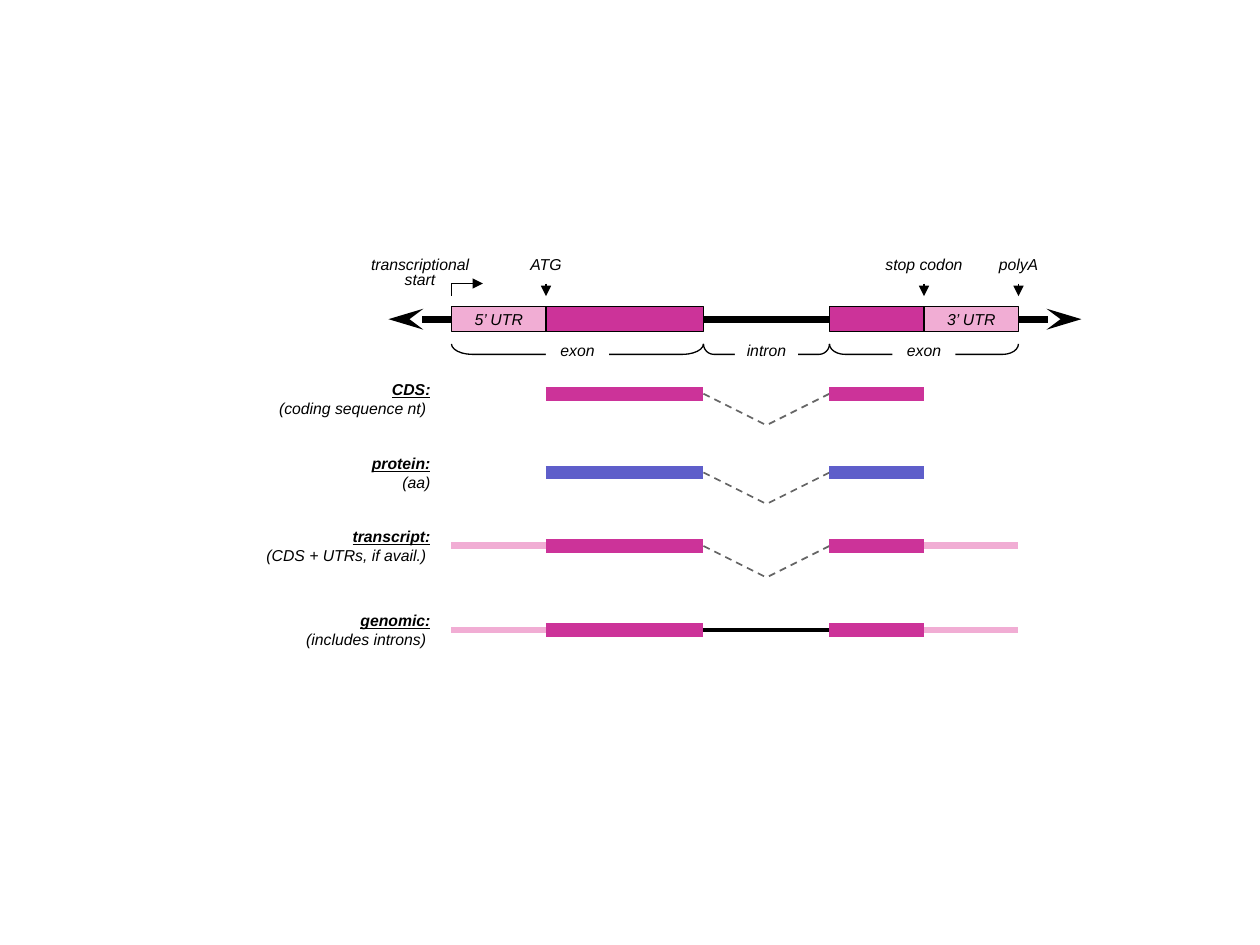
from lxml.etree import SubElement
from pptx import Presentation
from pptx.dml.color import RGBColor
from pptx.enum.dml import MSO_LINE
from pptx.enum.shapes import MSO_CONNECTOR, MSO_SHAPE
from pptx.enum.text import MSO_ANCHOR, PP_ALIGN
from pptx.oxml.ns import qn
from pptx.util import Inches, Pt

# Grid: 120 columns by 90 rows, twelve units to the inch
COLUMNS = 120
BLACK, WHITE, GREY = "000000", "FFFFFF", "666666"
PINK, MAGENTA, BLUE = "F1ADD4", "CC3399", "5E5ECA"

# Columns where the parts of the gene begin and end
START, ATG, SPLICE_OUT, SPLICE_IN, STOP, POLY_A = 43, 52, 67, 79, 88, 97
GENE_ROW, GENE_HEIGHT = 30.4, 2.4
CODING = [(ATG, SPLICE_OUT), (SPLICE_IN, STOP)]
UTRS = [(START, ATG), (STOP, POLY_A)]


def color(hex_string):
    return RGBColor.from_string(hex_string)


class GeneDiagram:
    """Holds the text style and the current page, and draws in grid units."""

    font, size = "Arial", 9

    def __init__(self, deck):
        self.unit = deck.slide_width / COLUMNS
        self.page = deck.slides.add_slide(deck.slide_layouts[6])

    def lengths(self, *units):
        return [round(value * self.unit) for value in units]

    def set_text(self, shape, lines, align=PP_ALIGN.CENTER, anchor=MSO_ANCHOR.TOP,
                 spacing=None, heading=False):
        """Fill a shape with italic lines; a heading makes the first one stand out."""
        frame = shape.text_frame
        frame.word_wrap = True
        frame.vertical_anchor = anchor
        frame.margin_left = frame.margin_right = 0
        frame.margin_top = frame.margin_bottom = 0
        frame.text = "\n".join(lines)
        for index, para in enumerate(frame.paragraphs):
            para.alignment = align
            para.line_spacing = spacing
            for span in para.runs:
                span.font.name = self.font
                span.font.size = Pt(self.size)
                span.font.italic = True
                span.font.color.rgb = color(BLACK)
                if heading and index == 0:
                    span.font.bold = span.font.underline = True

    def text(self, left, top, width, height, lines, **style):
        box = self.page.shapes.add_textbox(*self.lengths(left, top, width, height))
        self.set_text(box, lines, **style)

    def box(self, left, top, width, height, fill, outline=None, label=None,
            anchor=MSO_ANCHOR.MIDDLE):
        shape = self.page.shapes.add_shape(
            MSO_SHAPE.RECTANGLE, *self.lengths(left, top, width, height))
        shape.shadow.inherit = False
        shape.fill.solid()
        shape.fill.fore_color.rgb = color(fill)
        if outline:
            shape.line.color.rgb = color(outline)
            shape.line.width = Pt(0.75)
        else:
            shape.line.fill.background()
        if label:
            self.set_text(shape, [label], anchor=anchor)

    def line(self, x1, y1, x2, y2, ink=BLACK, weight=0.75, dashed=False,
             head=None, tail=None, tip_length="med"):
        link = self.page.shapes.add_connector(
            MSO_CONNECTOR.STRAIGHT, *self.lengths(x1, y1, x2, y2))
        link.line.color.rgb = color(ink)
        link.line.width = Pt(weight)
        if dashed:
            link.line.dash_style = MSO_LINE.DASH
        properties = link._element.spPr
        outline = properties.find(qn("a:ln"))
        for tag, kind in (("a:headEnd", head), ("a:tailEnd", tail)):
            if kind:
                SubElement(outline, qn(tag), type=kind, w="med", len=tip_length)
        SubElement(properties, qn("a:effectLst"))

    def brace(self, start, end, label):
        """Draw a brace below the gene, its point covered by the label."""
        span, thickness, middle = end - start, 2, (start + end) / 2
        shape = self.page.shapes.add_shape(MSO_SHAPE.LEFT_BRACE, *self.lengths(
            middle - thickness / 2, 33.75 - span / 2, thickness, span))
        shape.rotation = 270
        shape.adjustments[0] = span / 12 / thickness
        shape.shadow.inherit = False
        shape.fill.background()
        shape.line.color.rgb = color(BLACK)
        shape.line.width = Pt(0.75)
        self.box(middle - 3, 32.5, 6, 2.4, WHITE, label=label, anchor=MSO_ANCHOR.TOP)

    def callout(self, middle, width, lines):
        self.text(middle - width / 2, 24.6, width, 2.4, lines, spacing=0.8)

    def product(self, row, label_row, lines, ink=MAGENTA, utrs=False, spliced=True):
        """Draw one labelled row showing which parts of the gene it holds."""
        self.text(6, label_row - 1, 35, 2, lines, align=PP_ALIGN.RIGHT,
                  anchor=MSO_ANCHOR.MIDDLE, heading=True)
        if utrs:
            for start, end in UTRS:
                self.line(start, row, end, row, PINK, 4)
        if spliced:
            for edge in (SPLICE_OUT, SPLICE_IN):
                self.line(edge, row, (SPLICE_OUT + SPLICE_IN) / 2, row + 3,
                          GREY, 1, dashed=True)
        else:
            self.line(SPLICE_OUT, row, SPLICE_IN, row, BLACK, 2.25)
        for start, end in CODING:
            self.line(start, row, end, row, ink, 8)


def draw_gene(diagram):
    diagram.line(37, GENE_ROW, 103, GENE_ROW, weight=4,
                 head="stealth", tail="stealth", tip_length="lg")
    parts = [(*UTRS[0], PINK, "5’ UTR"), (*CODING[0], MAGENTA, None),
             (*CODING[1], MAGENTA, None), (*UTRS[1], PINK, "3’ UTR")]
    for start, end, fill, label in parts:
        diagram.box(start, GENE_ROW - GENE_HEIGHT / 2, end - start, GENE_HEIGHT,
                    fill, BLACK, label)
    for start, end, label in [(START, SPLICE_OUT, "exon"), (SPLICE_IN, POLY_A, "exon"),
                              (SPLICE_OUT, SPLICE_IN, "intron")]:
        diagram.brace(start, end, label)


def draw_callouts(diagram):
    diagram.callout(40, 15, ["transcriptional", "start"])
    diagram.line(START, 27, START, 28.2)
    diagram.line(START, 27, START + 3, 27, tail="triangle")
    for column, width, label in [(ATG, 6, "ATG"), (STOP, 12, "stop codon"),
                                 (POLY_A, 6, "polyA")]:
        diagram.callout(column, width, [label])
        diagram.line(column, 27, column, 28.2, tail="triangle")


def main():
    deck = Presentation()
    deck.slide_width, deck.slide_height = Inches(10), Inches(7.5)
    diagram = GeneDiagram(deck)
    draw_gene(diagram)
    draw_callouts(diagram)
    diagram.product(37.5, 38, ["CDS:", "(coding sequence nt) "])
    diagram.product(45, 45, ["protein:", "(aa)"], ink=BLUE)
    diagram.product(52, 52, ["transcript:", "(CDS + UTRs, if avail.) "], utrs=True)
    diagram.product(60, 60, ["genomic:", "(includes introns) "], utrs=True,
                    spliced=False)
    deck.save("out.pptx")


if __name__ == "__main__":
    main()
